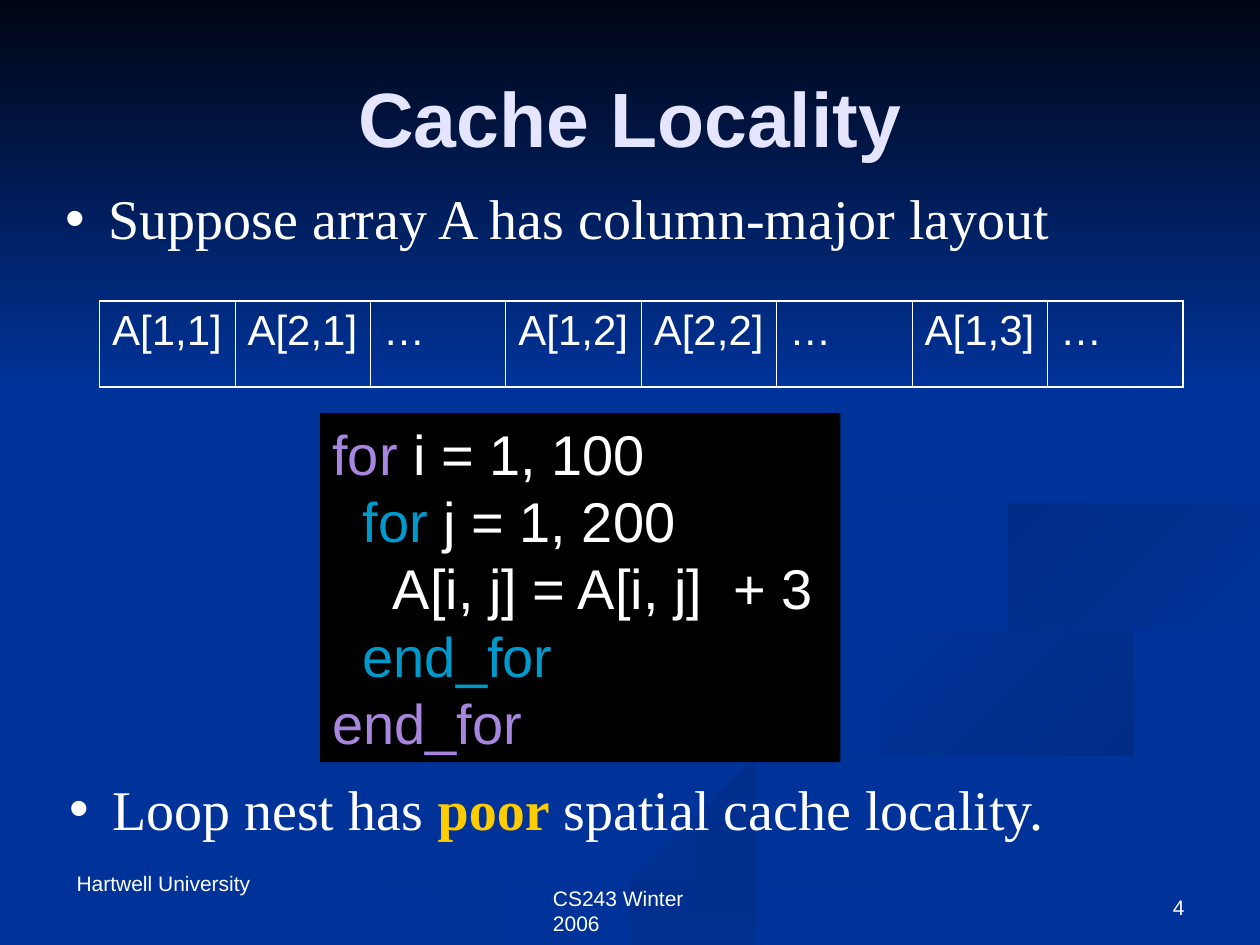
"""Build the Cache Locality slide: column-major array table, loop nest and two bullets."""
from math import hypot

from lxml.etree import SubElement
from pptx import Presentation
from pptx.dml.color import RGBColor
from pptx.enum.shapes import MSO_SHAPE
from pptx.enum.text import MSO_ANCHOR, MSO_AUTO_SIZE, PP_ALIGN
from pptx.oxml.ns import qn
from pptx.util import Inches, Pt

NAVY = RGBColor(0x00, 0x33, 0x99)
MIDNIGHT = RGBColor(0x00, 0x05, 0x14)
SHADE = RGBColor(0x00, 0x2C, 0x85)
DEEP_SHADE = RGBColor(0x00, 0x29, 0x7C)
WHITE = RGBColor(0xFF, 0xFF, 0xFF)
BLACK = RGBColor(0x00, 0x00, 0x00)
LAVENDER = RGBColor(0xE5, 0xE5, 0xFF)
PURPLE = RGBColor(0xA8, 0x86, 0xE0)
CYAN = RGBColor(0x00, 0x99, 0xCC)
GOLD = RGBColor(0xFF, 0xCC, 0x00)
STEPS = 6


def paint(shape, first, last, angle):
    shape.shadow.inherit = False
    shape.line.fill.background()
    shape.fill.gradient()
    shape.fill.gradient_angle = angle
    for stop, color in zip(shape.fill.gradient_stops, (first, last)):
        stop.color.rgb = color


def write(para, spans, size, font="Arial"):
    para.font.size, para.font.name = Pt(size), font
    para.space_before = Pt(0)
    for text, color in spans:
        span = para.add_run()
        span.text = text
        span.font.color.rgb = color
        if color == GOLD:
            span.font.bold = True


deck = Presentation()
deck.slide_width, deck.slide_height = Inches(10), Inches(7.5)
page = deck.slides.add_slide(deck.slide_layouts[3])
page.background.fill.solid()
page.background.fill.fore_color.rgb = NAVY

ribbons = [
    (SHADE, NAVY, 180, [(3.3, 7.5, 0.5), (5, 6.74, 0.26), (7, 6.2, 0.2), (7.9, 5.8, 0.14),
                        (7.1, 5.28, 0.04), (5.85, 4.83, 0.06), (5.74, 4.6, 0.02)]),
    (SHADE, NAVY, 135, [(7.24, 4.64, 0.02), (7.6, 5.03, 0.1), (8.5, 5.32, 0.12),
                        (9.25, 5.66, 0.25), (9, 6.03, 0.04)]),
    (DEEP_SHADE, NAVY, 270, [(5.37, 7.5, 0.3), (6.8, 6.87, 0.26), (8.4, 6.36, 0.22),
                             (10, 5.95, 0.26)]),
    (NAVY, NAVY, 0, [(10, 3.95, 0.15), (8.2, 4.25, 0.2), (7.55, 4.65, 0.5), (8.8, 5.2, 0.3),
                     (9.7, 5.6, 0.5), (8.9, 6.12, 0.15), (7, 6.62, 0.25), (4.9, 7.5, 0.1)]),
    (NAVY, SHADE, 135, [(10, 4.11, 0.18), (8.6, 4.34, 0.18), (7.95, 4.6, 0.25),
                        (8.26, 4.95, 0.02)]),
    (NAVY, SHADE, 135, [(7.62, 2.33, 0.02), (8.65, 2.92, 0.06), (8.9, 3.45, 0.1),
                        (8.3, 3.92, 0.16), (6.5, 4.28, 0.16), (5.85, 4.64, 0.15),
                        (6.22, 5, 0.02)]),
]
for first, last, angle, knots in ribbons:
    padded = [knots[0], *knots, knots[-1]]
    curve = []
    for quad in zip(padded, padded[1:], padded[2:], padded[3:]):
        for step in range(STEPS + 1):
            t = step / STEPS
            curve.append([
                b + t * (c - a + t * (2 * a - 5 * b + 4 * c - d + t * (3 * b - a - 3 * c + d))) / 2
                for a, b, c, d in zip(*quad)
            ])
    curve = [point for index, point in enumerate(curve) if index == 0 or point != curve[index - 1]]
    upper, lower = [], []
    for index, (x, y, thickness) in enumerate(curve):
        before, after = curve[max(index - 1, 0)], curve[min(index + 1, len(curve) - 1)]
        run, rise = after[0] - before[0], after[1] - before[1]
        reach = thickness / 2 / max(hypot(run, rise), 0.01)
        for edge, sign in ((upper, 1), (lower, -1)):
            edge.append((min(x + sign * rise * reach, 10), min(y - sign * run * reach, 7.5)))
    points = upper + lower[::-1]
    outline = page.shapes.build_freeform(*points[0], scale=Inches(1))
    outline.add_line_segments(points[1:], close=True)
    paint(outline.convert_to_shape(), first, last, angle)

sky = page.shapes.add_shape(MSO_SHAPE.RECTANGLE, 0, 0, deck.slide_width, Inches(3.08))
paint(sky, MIDNIGHT, NAVY, 270)

title, *bullets = page.placeholders
title.left, title.top, title.width, title.height = map(Inches, (0.5, 0.3, 9, 1.25))
title.text_frame.vertical_anchor = MSO_ANCHOR.MIDDLE
para = title.text_frame.paragraphs[0]
para.alignment, para.font.bold = PP_ALIGN.CENTER, True
write(para, [("Cache Locality", LAVENDER)], 44)

statements = [
    (0.42, 1.41, [("Suppose array A has column-major layout", WHITE)]),
    (0.45, 6.1, [("Loop nest has ", WHITE), ("poor", GOLD), (" spatial cache locality.", WHITE)]),
]
for box, (left, top, spans) in zip(bullets, statements):
    box.left, box.top, box.width, box.height = map(Inches, (left, top, 9.08, 0.64))
    box.text_frame.auto_size = MSO_AUTO_SIZE.NONE
    para = box.text_frame.paragraphs[0]
    write(para, spans, 32, "Times New Roman")
    properties = para._p.get_or_add_pPr()
    properties.set("marL", str(Inches(0.34)))
    properties.set("indent", str(-Inches(0.34)))

entries = ["A[1,1]", "A[2,1]", "…", "A[1,2]", "A[2,2]", "…", "A[1,3]", "…"]
frame = page.shapes.add_table(1, len(entries), *map(Inches, (0.79, 2.39, 8.6, 0.68)))
array = frame.table
array.first_row = array.horz_banding = False
for column, entry in enumerate(entries):
    cell = array.cell(0, column)
    write(cell.text_frame.paragraphs[0], [(entry, WHITE)], 24)
    outer_sides = "TB" + "L" * (column == 0) + "R" * (column == len(entries) - 1)
    properties = cell._tc.get_or_add_tcPr()
    for side in "LRTB":
        width = Pt(1.08 if side in outer_sides else 0.45)
        border = SubElement(properties, qn(f"a:ln{side}"), w=str(width))
        SubElement(SubElement(border, qn("a:solidFill")), qn("a:srgbClr"), val=str(WHITE))
    cell.fill.background()

code = page.shapes.add_shape(MSO_SHAPE.RECTANGLE, *map(Inches, (2.54, 3.28, 4.13, 2.77)))
code.shadow.inherit = False
code.fill.solid()
code.fill.fore_color.rgb = BLACK
code.line.fill.background()
code.text_frame.vertical_anchor = MSO_ANCHOR.TOP
loop_nest = [
    (0, [("for", PURPLE), (" i = 1, 100", WHITE)]),
    (1, [("for", CYAN), (" j = 1, 200", WHITE)]),
    (2, [("A[i, j] = A[i, j]  + 3", WHITE)]),
    (1, [("end_for", CYAN)]),
    (0, [("end_for", PURPLE)]),
]
for row, (depth, spans) in enumerate(loop_nest):
    para = code.text_frame.add_paragraph() if row else code.text_frame.paragraphs[0]
    para.alignment = PP_ALIGN.LEFT
    write(para, spans, 32)
    para._p.get_or_add_pPr().set("marL", str(Inches(0.24) * depth))

footers = [
    ("CS243 Winter 2006", (4.29, 6.98, 1.65, 0.3), PP_ALIGN.LEFT, MSO_ANCHOR.TOP),
    ("Hartwell University", (0.51, 6.86, 1.88, 0.3), PP_ALIGN.LEFT, MSO_ANCHOR.TOP),
    ("4", (7.17, 6.83, 2.33, 0.52), PP_ALIGN.RIGHT, MSO_ANCHOR.BOTTOM),
]
for text, area, alignment, anchor in footers:
    box = page.shapes.add_textbox(*map(Inches, area))
    box.text_frame.word_wrap = True
    box.text_frame.vertical_anchor = anchor
    para = box.text_frame.paragraphs[0]
    para.alignment = alignment
    write(para, [(text, WHITE)], 12)

for shape in (title, *bullets):
    page.shapes._spTree.append(shape._element)

deck.save("out.pptx")
